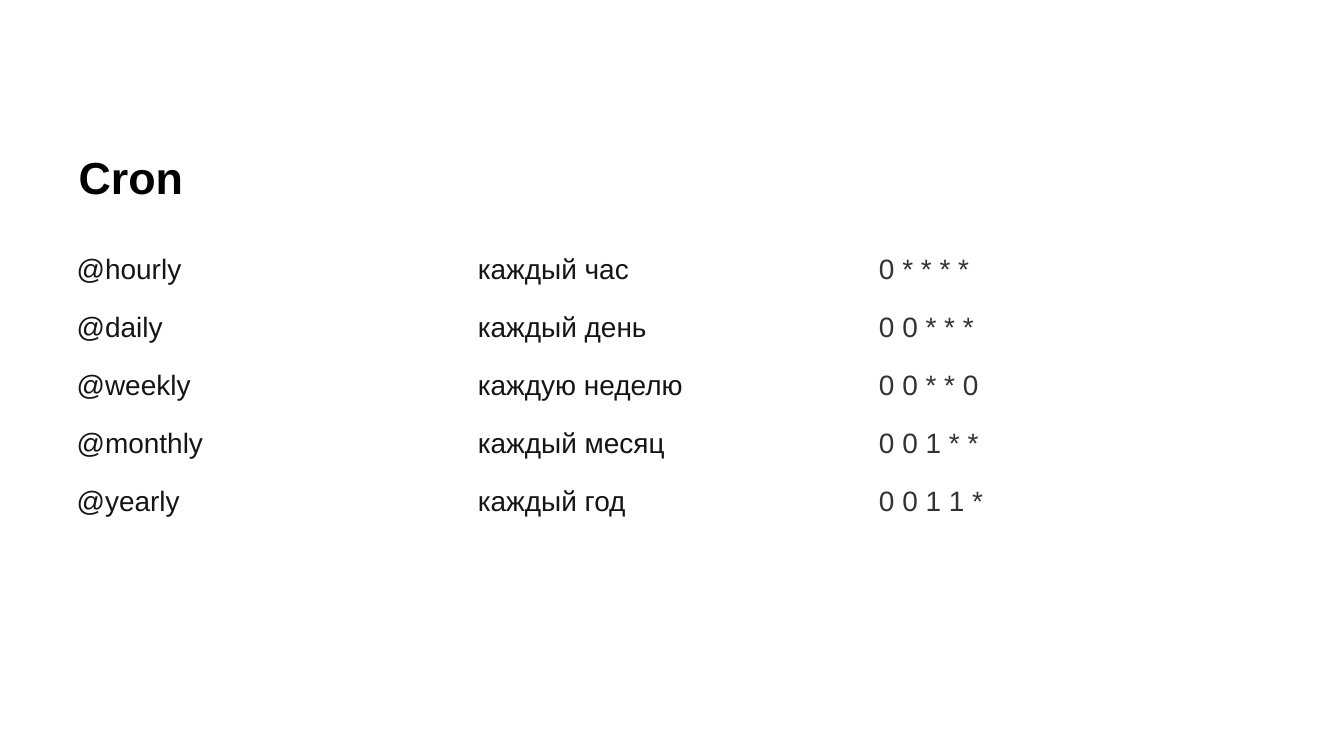
from typing import NamedTuple

from pptx import Presentation
from pptx.dml.color import RGBColor
from pptx.enum.text import MSO_ANCHOR, MSO_AUTO_SIZE, PP_ALIGN
from pptx.util import Inches, Pt

FONT = "Arial"
COLUMN_COLORS = ("151515", "151515", "333333")
COLUMN_WIDTH = 5.97
ROW_HEIGHT = 0.86


class Schedule(NamedTuple):
    alias: str
    meaning: str
    expression: str


SCHEDULES = [
    Schedule("@hourly", "каждый час", "0 * * * *"),
    Schedule("@daily", "каждый день", "0 0 * * *"),
    Schedule("@weekly", "каждую неделю", "0 0 * * 0"),
    Schedule("@monthly", "каждый месяц", "0 0 1 * *"),
    Schedule("@yearly", "каждый год", "0 0 1 1 *"),
]


def format_run(r, size: float, color: str, bold: bool = False) -> None:
    r.font.name = FONT
    r.font.size = Pt(size)
    r.font.bold = bold
    r.font.color.rgb = RGBColor.from_string(color)


def add_title(slide, text: str) -> None:
    sp = slide.shapes.title
    sp.left, sp.top = Inches(1.17), Inches(2.23)
    sp.width, sp.height = Inches(17.44), Inches(1.61)
    tf = sp.text_frame
    tf.text = text
    tf.word_wrap = True
    tf.auto_size = MSO_AUTO_SIZE.NONE
    tf.vertical_anchor = MSO_ANCHOR.TOP
    tf.margin_left = tf.margin_right = tf.margin_top = tf.margin_bottom = 0
    p = tf.paragraphs[0]
    p.alignment = PP_ALIGN.LEFT
    format_run(p.runs[0], 48, "000000", bold=True)


def fill_cell(cell, text: str, color: str) -> None:
    cell.fill.background()
    cell.vertical_anchor = MSO_ANCHOR.TOP
    cell.margin_left = cell.margin_right = Inches(0.1)
    cell.margin_top = cell.margin_bottom = Inches(0.1)
    cell.text_frame.text = text
    p = cell.text_frame.paragraphs[0]
    p.line_spacing = 1.43
    p.space_after = Pt(8)
    format_run(p.runs[0], 30, color)


def add_schedule_table(slide, schedules: list[Schedule]) -> None:
    rows, cols = len(schedules), len(COLUMN_COLORS)
    table = slide.shapes.add_table(
        rows, cols, Inches(1.04), Inches(3.48),
        Inches(COLUMN_WIDTH * cols), Inches(ROW_HEIGHT * rows),
    ).table
    table.first_row = table.horz_banding = False
    for row, schedule in zip(table.rows, schedules):
        for cell, text, color in zip(row.cells, schedule, COLUMN_COLORS):
            fill_cell(cell, text, color)


def main() -> None:
    prs = Presentation()
    prs.slide_width, prs.slide_height = Inches(20), Inches(11.25)
    slide = prs.slides.add_slide(prs.slide_layouts[5])  # Title Only

    # Heading, then the table of shortcuts
    add_title(slide, "Сron")
    add_schedule_table(slide, SCHEDULES)

    prs.save("out.pptx")


if __name__ == "__main__":
    main()
